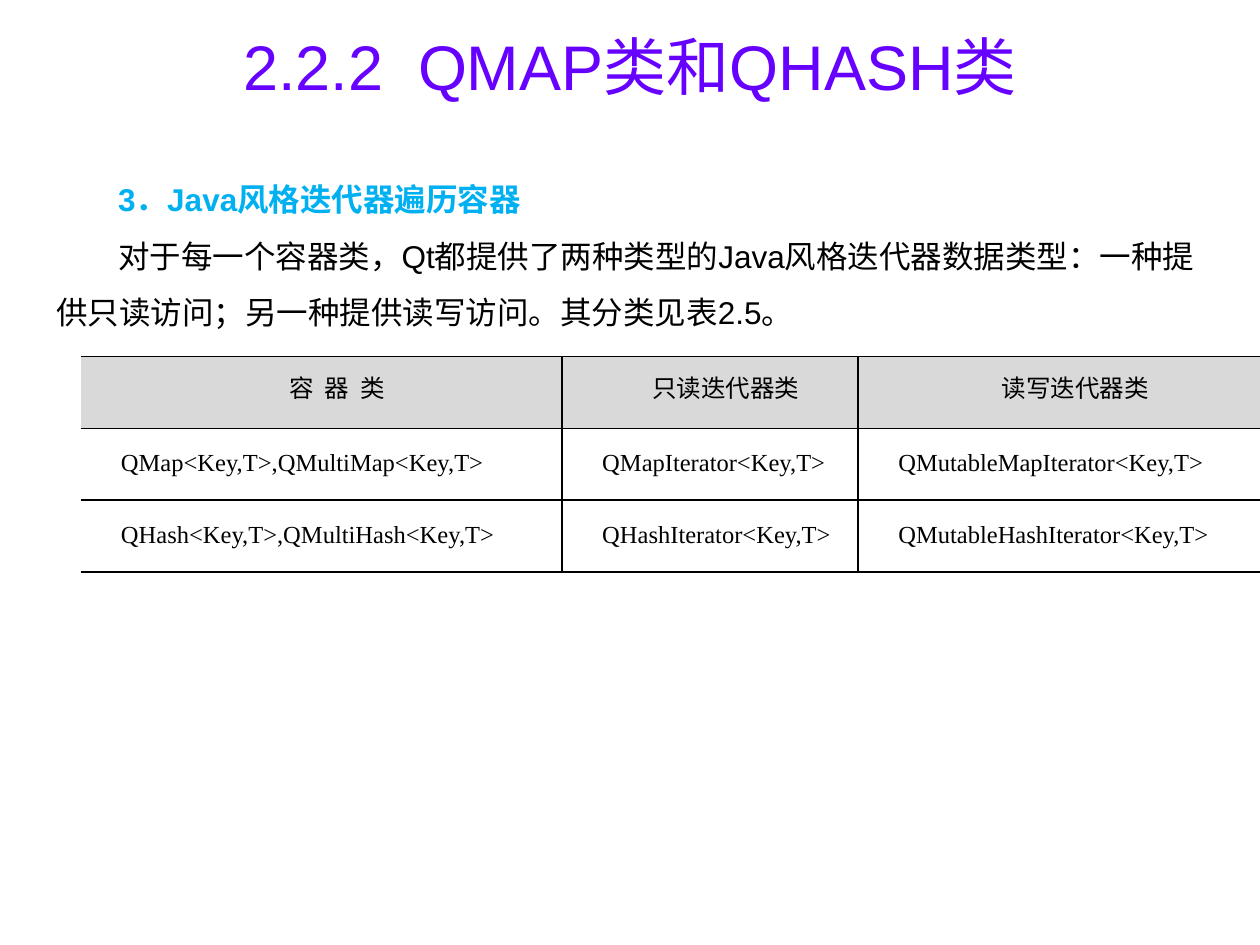
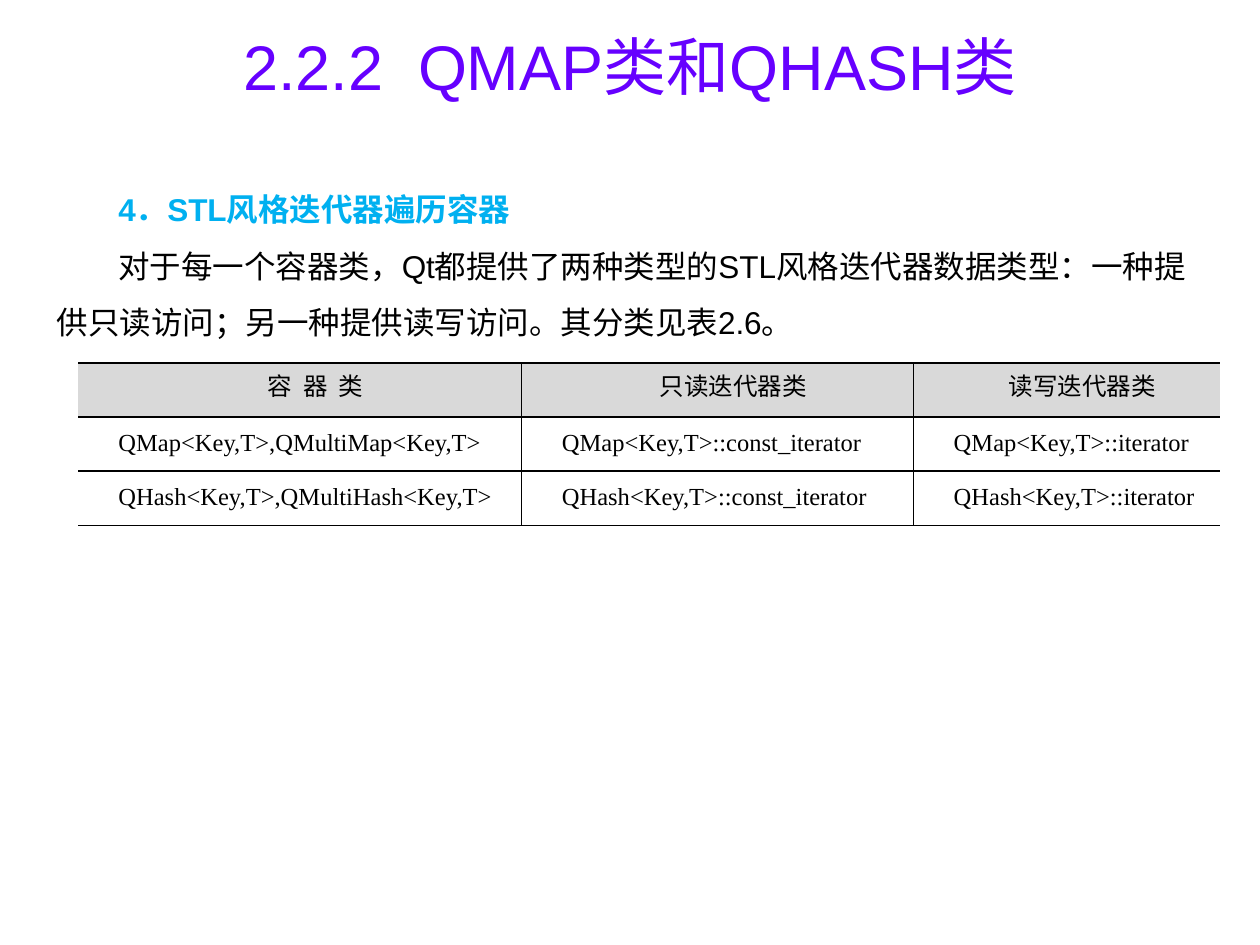
"""Build two slides on Java-style and STL-style container iterators."""
from dataclasses import dataclass

from lxml.etree import SubElement
from pptx import Presentation
from pptx.dml.color import RGBColor
from pptx.enum.text import MSO_ANCHOR, MSO_AUTO_SIZE, PP_ALIGN
from pptx.oxml.ns import qn
from pptx.util import Inches, Pt

TITLE = "2.2.2  QMAP类和QHASH类"
HEADER = ("容  器  类", "只读迭代器类", "读写迭代器类")
MAPS, HASHES = "QMap<Key,T>,QMultiMap<Key,T>", "QHash<Key,T>,QMultiHash<Key,T>"
BODY = ("对于每一个容器类，Qt都提供了两种类型的{}风格迭代器数据类型："
        "一种提供只读访问；另一种提供读写访问。其分类见表{}。")

SLIDES = [
    dict(number=3, style="Java", table="2.5", text_at=(0.35, 1.23, 9.37, 1.86),
         table_at=(0.64, 2.83), cols=(3.82, 2.35, 3.2), row_height=0.57,
         rows=[(MAPS, "QMapIterator<Key,T>", "QMutableMapIterator<Key,T>"),
               (HASHES, "QHashIterator<Key,T>", "QMutableHashIterator<Key,T>")]),
    dict(number=4, style="STL", table="2.6", text_at=(0.35, 1.31, 9.29, 1.86),
         table_at=(0.62, 2.88), cols=(3.52, 3.11, 2.43), row_height=0.43,
         rows=[(MAPS, "QMap<Key,T>::const_iterator", "QMap<Key,T>::iterator"),
               (HASHES, "QHash<Key,T>::const_iterator", "QHash<Key,T>::iterator")]),
]


@dataclass(frozen=True)
class Theme:
    sans: str = "Arial"
    serif: str = "Times New Roman"
    title: str = "6600FF"
    heading: str = "00B0F0"
    ink: str = "000000"
    header_fill: str = "D9D9D9"
    title_size: int = 36
    text_size: int = 18
    cell_size: int = 14
    rule: int = 1
    text_indent: float = 0.49
    cell_indent: float = 0.25
    cell_margin: float = 0.07
    plain_table: str = "{2D5ABB26-0587-4C30-8999-92F81FD0307C}"


T = Theme()


def write(p, text, size, color, font=T.sans, bold=False, align=None, indent=0, spacing=None):
    p.text = text
    p.alignment = align
    p.line_spacing = spacing
    p.font.name, p.font.size, p.font.bold = font, Pt(size), bold
    p.font.color.rgb = RGBColor.from_string(color)
    pPr = p._p.get_or_add_pPr()
    pPr.set("marL", "0")
    pPr.set("indent", str(Inches(indent)))


def add_text(slide, at):
    tf = slide.shapes.add_textbox(*map(Inches, at)).text_frame
    tf.word_wrap = True
    return tf


def add_title(slide):
    tf = add_text(slide, (0.33, 0.05, 9.34, 0.94))
    tf.vertical_anchor = MSO_ANCHOR.MIDDLE
    write(tf.paragraphs[0], TITLE, T.title_size, T.title, align=PP_ALIGN.CENTER)


def add_body(slide, item):
    tf = add_text(slide, item["text_at"])
    tf.auto_size = MSO_AUTO_SIZE.SHAPE_TO_FIT_TEXT
    heading = f"{item['number']}．{item['style']}风格迭代器遍历容器"
    layout = dict(indent=T.text_indent, spacing=1.5)
    write(tf.paragraphs[0], heading, T.text_size, T.heading, bold=True, **layout)
    write(tf.add_paragraph(), BODY.format(item["style"], item["table"]),
          T.text_size, T.ink, **layout)


def set_borders(cell, ruled):
    tcPr = cell._tc.get_or_add_tcPr()
    for side in "LRTB":
        ln = SubElement(tcPr, qn(f"a:ln{side}"), w=str(Pt(T.rule)))
        if side in ruled:
            SubElement(SubElement(ln, qn("a:solidFill")), qn("a:srgbClr"), val=T.ink)
        else:
            SubElement(ln, qn("a:noFill"))


def fill_cell(cell, text, is_header, ruled):
    cell.vertical_anchor = MSO_ANCHOR.MIDDLE
    cell.margin_left = cell.margin_right = Inches(T.cell_margin)
    cell.margin_top = cell.margin_bottom = 0
    set_borders(cell, ruled)
    if is_header:
        cell.fill.solid()
        cell.fill.fore_color.rgb = RGBColor.from_string(T.header_fill)
    else:
        cell.fill.background()
    write(cell.text_frame.paragraphs[0], text, T.cell_size, T.ink,
          font=T.sans if is_header else T.serif,
          align=PP_ALIGN.CENTER if is_header else PP_ALIGN.JUSTIFY,
          indent=T.cell_indent, spacing=Pt(T.cell_size))


def add_iterator_table(slide, item):
    rows, cols = [HEADER, *item["rows"]], item["cols"]
    size = sum(cols), item["row_height"] * len(rows)
    frame = slide.shapes.add_table(len(rows), len(cols),
                                   *map(Inches, (*item["table_at"], *size)))
    table = frame.table
    table.horz_banding = table.first_row = False
    table._tbl.tblPr.find(qn("a:tableStyleId")).text = T.plain_table
    for column, width in zip(table.columns, cols):
        column.width = Inches(width)
    for r, texts in enumerate(rows):
        table.rows[r].height = Inches(item["row_height"])
        for c, text in enumerate(texts):
            ruled = "TB" + "L" * (c > 0) + "R" * (c < len(cols) - 1)
            fill_cell(table.cell(r, c), text, r == 0, ruled)


def main():
    prs = Presentation()
    prs.slide_width, prs.slide_height = Inches(10), Inches(7.5)
    for item in SLIDES:
        slide = prs.slides.add_slide(prs.slide_layouts[6])
        add_title(slide)
        add_body(slide, item)
        add_iterator_table(slide, item)
    prs.save("out.pptx")


if __name__ == "__main__":
    main()
